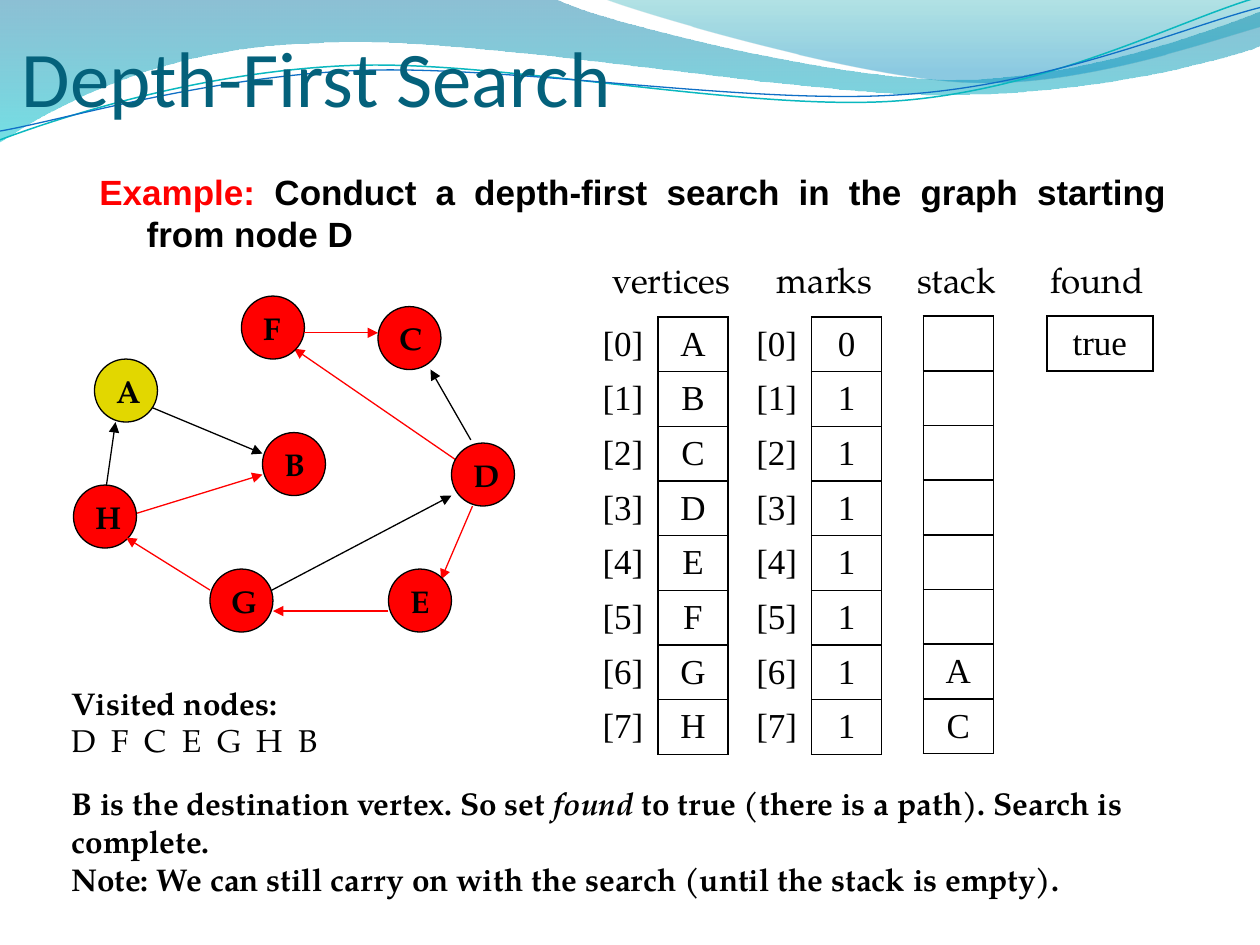
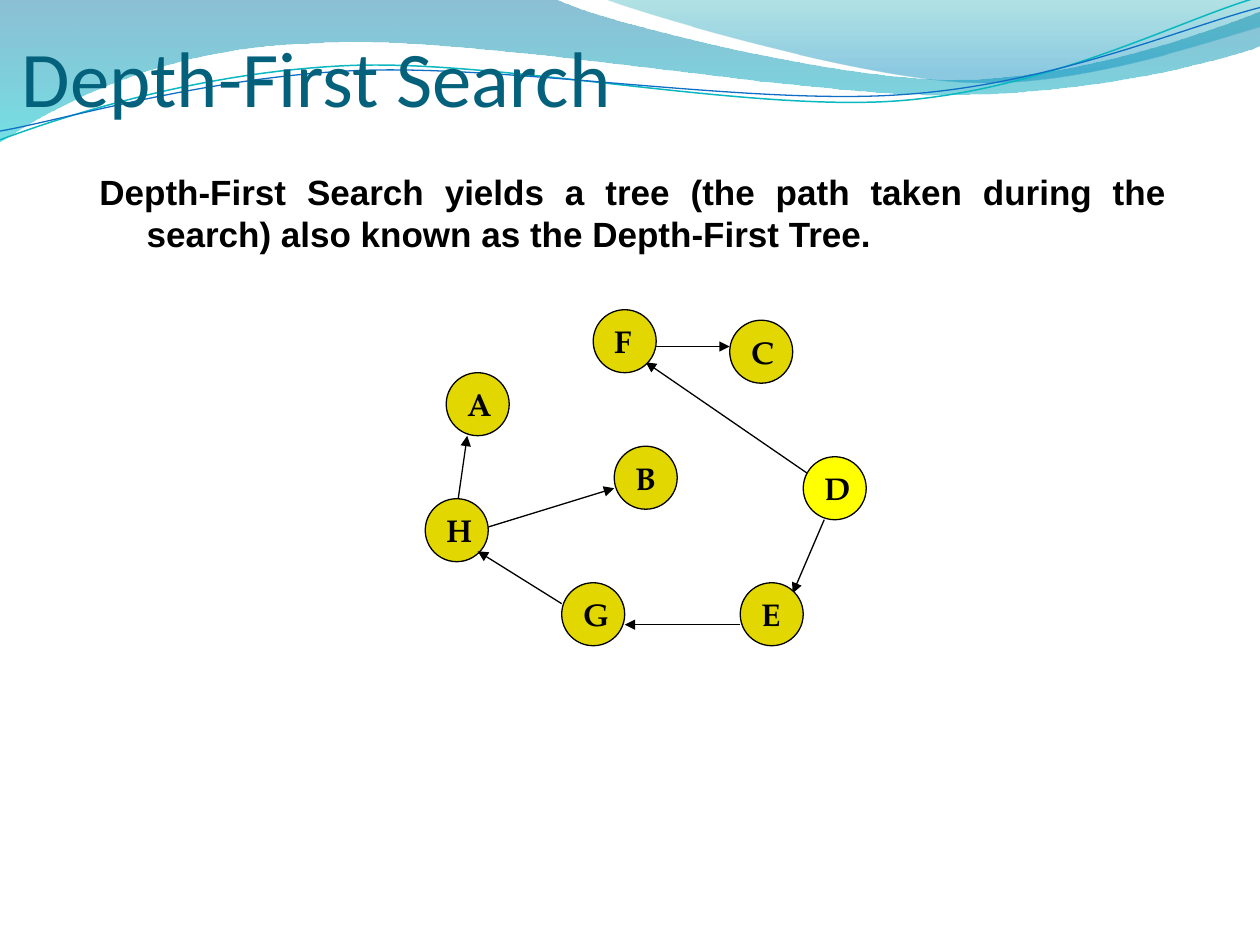
from math import cos, radians, sin

from lxml import etree
from pptx import Presentation
from pptx.dml.color import RGBColor
from pptx.enum.shapes import MSO_CONNECTOR, MSO_SHAPE
from pptx.enum.text import MSO_ANCHOR, PP_ALIGN
from pptx.oxml.ns import qn
from pptx.util import Inches, Pt

LEFT, CENTER, JUSTIFY = PP_ALIGN.LEFT, PP_ALIGN.CENTER, PP_ALIGN.JUSTIFY
TOP, MIDDLE = MSO_ANCHOR.TOP, MSO_ANCHOR.MIDDLE
OVAL, STRAIGHT = MSO_SHAPE.OVAL, MSO_CONNECTOR.STRAIGHT

COLORS = {
    "ink": "000000", "title": "04617B", "red": "FF0000",
    "olive": "E2D700", "yellow": "FFFF00", "teal": "0AB8BF", "blue": "0F6FC6",
    "deep": "0074A1", "cyan": "00C6CF", "sea": "00A1A9", "sky": "008BBF",
}
SERIF, SANS, TITLE_FONT, TABLE_FONT = (
    "TeX Gyre Pagella", "Arial", "Calibri", "Times New Roman")

# Square grid: one cell is a twelfth of an inch
COLUMNS, ROWS = 120, 90
NODE_SIZE = 6
ROW_HEIGHT, COLUMN_WIDTH = 5.21, 6.67

# Top bands in tenths of the slide width: a start, then lines (1 point) or curves (3)
BAND_TILT = 2.7
BAND_CENTER = (4.99, 0.58)
BANDS = [
    {"start": (0, 0),
     "parts": [[(4.4, -0.01)],
               [(4.76, 0.17), (6.64, 0.63), (7.58, 0.63)],
               [(8.53, 0.63), (9.58, 0.26), (10, 0.09)],
               [(10.01, 0.36)],
               [(9.83, 0.44), (8.7, 0.76), (7.46, 0.75)],
               [(6.22, 0.75), (3.82, 0.28), (2.57, 0.34)],
               [(1.29, 0.36), (0.46, 0.83), (-0.01, 1.13)],
               [(0, 0)]],
     "stops": [(0, "deep", 45), (1, "cyan", 55)]},
    {"start": (4.79, -0.01),
     "parts": [[(5.09, 0.11), (6.82, 0.62), (7.69, 0.65)],
               [(8.56, 0.69), (9.61, 0.32), (10, 0.21)],
               [(10, 0)],
               [(4.79, -0.01)]],
     "stops": [(0, "sea", 30), (0.8, "sky", 45)]},
    {"start": (0, 1.11),
     "parts": [[(0.48, 0.93), (1.58, 0.57), (2.77, 0.52)],
               [(3.95, 0.47), (5.93, 0.89), (7.13, 0.8)],
               [(8.33, 0.71), (9.38, 0.15), (9.98, -0.02)]],
     "line": ("teal", 0.85)},
    {"start": (0, 1.04),
     "parts": [[(0.47, 0.96), (1.64, 0.61), (2.83, 0.56)],
               [(4.03, 0.51), (5.97, 0.84), (7.17, 0.75)],
               [(8.36, 0.67), (9.41, 0.21), (10, 0.06)]],
     "line": ("blue", 0.75)},
]

# Graph in grid cells, relative to its top left corner
NODES = {"A": (2, 6), "H": (0, 18), "B": (18, 13), "F": (16, 0),
         "E": (30, 26), "D": (36, 14), "C": (29, 1), "G": (13, 26)}
EDGES_BEHIND = {
    "DF": (37, 16, 21, 5), "DE": (38, 20, 35, 27), "HB": (5, 21, 18, 17),
    "GD": (17, 29, 36, 19), "HA": (3, 19, 4, 12), "AB": (6, 10, 18, 15),
    "DC": (37.84, 13.7, 34, 7),
}
EDGES_IN_FRONT = {"EG": (30, 30, 19, 30), "GH": (13, 28, 5, 23),
                  "FC": (22, 3.5, 29, 3.5)}
SEARCH_PATH = ["DF", "FC", "DE", "EG", "GH", "HB"]


def rgb(name):
    return RGBColor.from_string(COLORS[name])


def tilt(point):
    """Turn a point clockwise about the centre of the band lines."""
    angle = radians(BAND_TILT)
    x, y = point[0] - BAND_CENTER[0], point[1] - BAND_CENTER[1]
    return (BAND_CENTER[0] + x * cos(angle) - y * sin(angle),
            BAND_CENTER[1] + x * sin(angle) + y * cos(angle))


class DeckBuilder:
    def __init__(self):
        self.deck = Presentation()
        self.deck.slide_width, self.deck.slide_height = Inches(10), Inches(7.5)
        self.layout = self.deck.slide_layouts[5]
        self.page = None

    def place(self, *cells):
        """Grid cells to lengths, columns and rows in turn."""
        units = (self.deck.slide_width / COLUMNS, self.deck.slide_height / ROWS)
        return [round(cell * units[i % 2]) for i, cell in enumerate(cells)]

    def style(self, span, font, size, color="ink", bold=False, italic=False):
        span.font.name, span.font.size = font, Pt(size)
        span.font.bold, span.font.italic = bold, italic
        span.font.color.rgb = rgb(color)

    def add_page(self, title):
        self.page = self.deck.slides.add_slide(self.layout)
        box = self.page.shapes.title
        box.left, box.top, box.width, box.height = self.place(2.08, 2.12, 115.4, 8.9)
        frame = box.text_frame
        frame.text = title
        frame.margin_left = frame.margin_right = frame.margin_bottom = 0
        frame.margin_top = Inches(0.05)
        frame.vertical_anchor = TOP
        frame.paragraphs[0].alignment = LEFT
        self.style(frame.paragraphs[0].runs[0], TITLE_FONT, 45, "title")

    def add_bands(self):
        """Draw the top bands and move them to the layout, behind its title."""
        tenth = self.deck.slide_width / 10
        for order, band in enumerate(BANDS):
            points = [band["start"], *(point for part in band["parts"] for point in part)]
            if "line" in band:
                points = [tilt(point) for point in points]
            points = [(round(x * tenth), round(y * tenth)) for x, y in points]
            builder = self.page.shapes.build_freeform(*points[0])
            builder.add_line_segments(points[1:], close="stops" in band)
            shape = builder.convert_to_shape()
            shape.shadow.inherit = False
            self.bend(shape, band["parts"])
            if "stops" in band:
                self.fill_gradient(shape, band["stops"])
            else:
                color, width = band["line"]
                shape.rotation = 360 - BAND_TILT
                shape.fill.background()
                shape.line.color.rgb, shape.line.width = rgb(color), Pt(width)
            shape.element.nvSpPr.cNvPr.set("id", str(20 + order))
            self.layout.shapes.element.insert(2 + order, shape.element)

    def bend(self, shape, parts):
        """Join each three straight segments of a curve into one cubic curve."""
        segments = iter(list(shape.element.spPr.iter(qn("a:lnTo"))))
        for part in parts:
            group = [next(segments) for _ in part]
            if len(group) == 3:
                curve = etree.Element(qn("a:cubicBezTo"))
                group[0].addprevious(curve)
                for segment in group:
                    curve.append(segment[0])
                    segment.getparent().remove(segment)

    def fill_gradient(self, shape, stops):
        shape.line.fill.background()
        shape.fill.gradient()
        shape.fill.gradient_angle = 270
        for stop, (position, color, _) in zip(shape.fill.gradient_stops, stops):
            stop.position, stop.color.rgb = position, rgb(color)
        for tint, (_, _, opacity) in zip(shape.element.spPr.iter(qn("a:srgbClr")), stops):
            etree.SubElement(tint, qn("a:alpha"), val=str(opacity * 1000))

    def add_text(self, cells, lines, font=SERIF, size=18, align=LEFT):
        """Each line is a list of (text, style) spans."""
        box = self.page.shapes.add_textbox(*self.place(*cells))
        frame = box.text_frame
        frame.word_wrap = True
        for number, spans in enumerate(lines):
            para = frame.add_paragraph() if number else frame.paragraphs[0]
            para.alignment = align
            for text, look in spans:
                span = para.add_run()
                span.text = text
                self.style(span, font, size, **look)
        return frame

    def add_statement(self, spans):
        frame = self.add_text((8.28, 15.6, 104, 9.2), [spans], SANS, 20, JUSTIFY)
        properties = frame.paragraphs[0]._p.get_or_add_pPr()
        properties.set("marL", str(Pt(27)))
        properties.set("indent", str(-Pt(27)))

    def add_heading(self, text, left, width=12.2):
        self.add_text((left, 24, width, 5.2), [[(text, {})]], size=20, align=CENTER)

    def set_borders(self, cell, sides):
        properties = cell._tc.get_or_add_tcPr()
        for order, side in enumerate("LRTB"):
            border = etree.Element(qn(f"a:ln{side}"), w=str(Pt(1)))
            if side in sides:
                paint = etree.SubElement(border, qn("a:solidFill"))
                etree.SubElement(paint, qn("a:srgbClr"), val=COLORS["ink"])
            else:
                etree.SubElement(border, qn("a:noFill"))
            properties.insert(order, border)

    def add_cells(self, left, top, rows, width=COLUMN_WIDTH):
        """A table whose last column is boxed; a column before it holds indexes."""
        count = len(rows[0])
        table = self.page.shapes.add_table(
            len(rows), count,
            *self.place(left, top, width * count, ROW_HEIGHT * len(rows))).table
        table.first_row = table.horz_banding = False
        for row_number, row in enumerate(rows):
            for column, text in enumerate(row):
                cell = table.cell(row_number, column)
                cell.fill.background()
                self.set_borders(cell, "LRTB" if column == count - 1 else "R")
                cell.vertical_anchor = MIDDLE
                cell.text = text
                para = cell.text_frame.paragraphs[0]
                para.alignment = CENTER
                for span in para.runs:
                    self.style(span, TABLE_FONT, 20)

    def add_arrow(self, origin, ends, color):
        x, y = origin
        cells = (ends[0] + x, ends[1] + y, ends[2] + x, ends[3] + y)
        arrow = self.page.shapes.add_connector(STRAIGHT, *self.place(*cells))
        arrow.line.color.rgb, arrow.line.width = rgb(color), Pt(0.75)
        properties = arrow.element.spPr
        etree.SubElement(properties.find(qn("a:ln")), qn("a:tailEnd"), type="triangle")
        etree.SubElement(properties, qn("a:effectLst"))

    def add_node(self, origin, name, color):
        column, row = NODES[name]
        node = self.page.shapes.add_shape(OVAL, *self.place(
            origin[0] + column, origin[1] + row, NODE_SIZE, NODE_SIZE))
        node.shadow.inherit = False
        node.fill.solid()
        node.fill.fore_color.rgb = rgb(color)
        node.line.color.rgb, node.line.width = rgb("ink"), Pt(0.75)
        frame = node.text_frame
        frame.text = name
        frame.word_wrap, frame.vertical_anchor = False, MIDDLE
        frame.paragraphs[0].alignment = LEFT
        self.style(frame.paragraphs[0].runs[0], SERIF, 18, bold=True)

    def add_graph(self, origin, edge_colors, node_color, special):
        """Draw the named edges and all nodes; special recolours single nodes."""
        def draw(edges):
            for name, ends in edges.items():
                if name in edge_colors:
                    self.add_arrow(origin, ends, edge_colors[name])

        draw(EDGES_BEHIND)
        for name in NODES:
            self.add_node(origin, name, special.get(name, node_color))
        draw(EDGES_IN_FRONT)


def build_example(builder):
    builder.add_page("Depth-First Search")
    builder.add_bands()
    bold = {"bold": True}
    builder.add_statement([
        ("Example: ", {"bold": True, "color": "red"}),
        ("Conduct a depth-first search in the graph starting from node D", bold)])

    # Graph with the taken path in red
    colors = dict.fromkeys(["GD", "HA", "AB", "DC"], "ink")
    colors.update(dict.fromkeys(SEARCH_PATH, "red"))
    builder.add_graph((7, 28.2), colors, "red", {"A": "olive"})

    # Arrays, stack and result
    builder.add_heading("vertices", 56.67, 14.6)
    builder.add_heading("marks", 72.45)
    builder.add_heading("stack", 85)
    builder.add_heading("found", 98.4)
    for left, values in ((56, "ABCDEFGH"), (70.64, "01111111")):
        builder.add_cells(left, 30.2, [(f"[{i}]", value) for i, value in enumerate(values)])
    builder.add_cells(87.94, 30.12, [("",)] * 6 + [("A",), ("C",)])
    builder.add_cells(99.7, 30.12, [("true",)], width=10.1)

    # Visited nodes, spaced by wider tracking
    frame = builder.add_text((5.6, 64.52, 47.3, 8.5), [
        [("Visited nodes:", bold)], [(" ".join("DFCEGHB"), {})]])
    frame.paragraphs[1].runs[0].font._element.set("spc", "225")

    # Conclusion
    builder.add_text((5.64, 74.12, 105.4, 12.1), [
        [("B is the destination vertex. So set ", bold),
         ("found", {"bold": True, "italic": True}),
         (" to true (there is a path). Search is complete.", bold)],
        [("Note: We can still carry on with the search (until the stack is empty).", bold)]])


def build_tree(builder):
    builder.add_page("Depth-First Search")
    builder.add_statement([
        ("Depth-First Search yields a tree (the path taken during the search) "
         "also known as the Depth-First Tree.", {"bold": True})])
    builder.add_graph((40.5, 29.5), dict.fromkeys(SEARCH_PATH + ["HA"], "ink"),
                      "olive", {"D": "yellow"})


def main():
    builder = DeckBuilder()
    build_example(builder)
    build_tree(builder)
    builder.deck.save("out.pptx")


if __name__ == "__main__":
    main()
